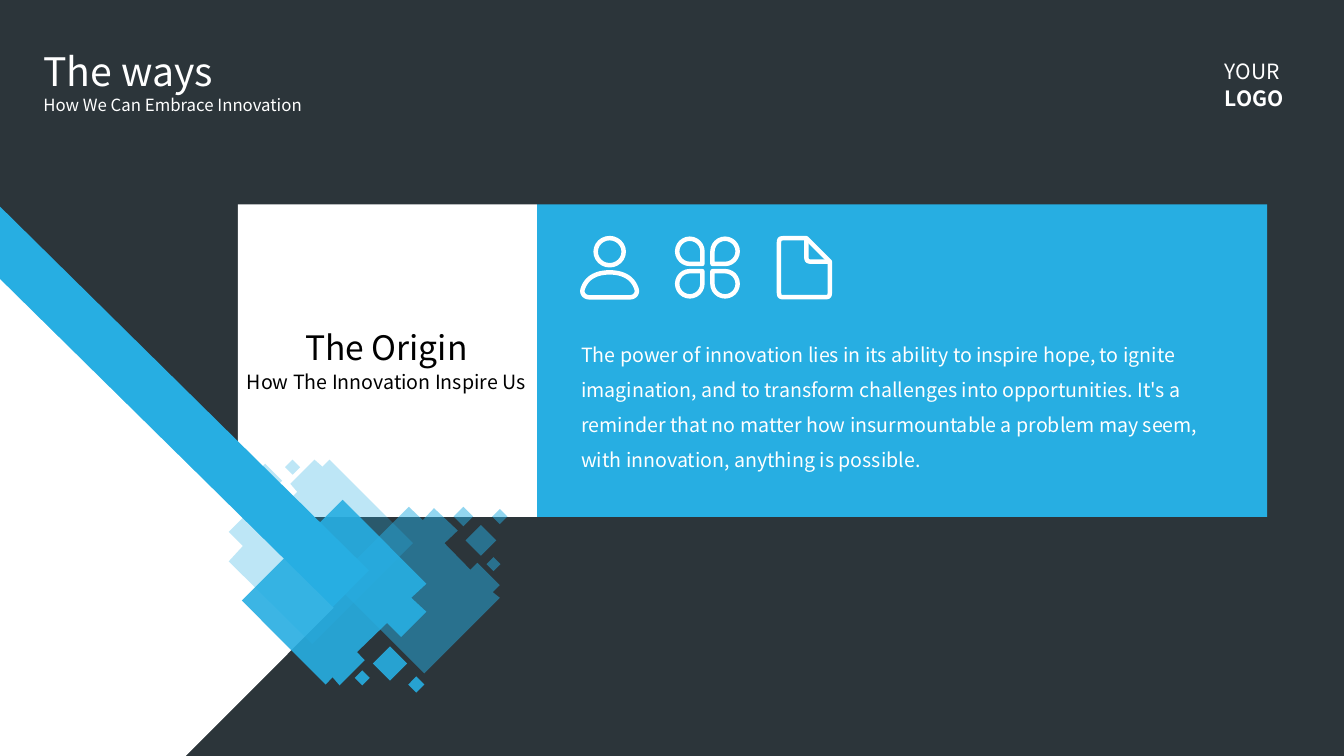
import pptx
import pptx.dml.color
import pptx.enum.shapes
import pptx.enum.text
import pptx.oxml.ns
import pptx.util
from lxml import etree

Pt = pptx.util.Pt
PRESET = pptx.enum.shapes.MSO_SHAPE
ALIGN = pptx.enum.text.PP_ALIGN
FONT = "Noto Sans CJK JP"
COLORS = {"dark": "2C353A", "blue": "27AEE2", "white": "FFFFFF", "black": "000000"}
ICON_STROKE = 3.2


def rgb(name):
    return pptx.dml.color.RGBColor.from_string(COLORS[name])


# Shared drawing helpers
def paint(shape, fill=None, line=None, opacity=100):
    shape.shadow.inherit = False
    if fill:
        shape.fill.solid()
        shape.fill.fore_color.rgb = rgb(fill)
    else:
        shape.fill.background()
    if line:
        shape.line.color.rgb = rgb(line)
        shape.line.width = Pt(ICON_STROKE)
    else:
        shape.line.fill.background()
    if opacity < 100:
        color = shape.fill._xPr.find(".//" + pptx.oxml.ns.qn("a:srgbClr"))
        etree.SubElement(color, pptx.oxml.ns.qn("a:alpha"), val=str(opacity * 1000))


def preset(slide, kind, left, top, width, height, **look):
    shape = slide.shapes.add_shape(kind, Pt(left), Pt(top), Pt(width), Pt(height))
    paint(shape, **look)
    return shape


def outline(slide, left, top, contours, open_contours=(), **look):
    """Draw contours whose points are measured from (left, top)."""
    pen = None
    paths = [(c, True) for c in contours] + [(c, False) for c in open_contours]
    for points, close in paths:
        start, *rest = [(x * 100, y * 100) for x, y in points]
        if pen is None:
            pen = slide.shapes.build_freeform(*start, scale=127)
        else:
            pen.move_to(*start)
        pen.add_line_segments(rest, close=close)
    paint(pen.convert_to_shape(Pt(left), Pt(top)), **look)


def curve(a, b, c, d, steps=14):
    """Points along a cubic curve from a to d."""
    return [tuple((1 - t) ** 3 * p + 3 * t * (1 - t) ** 2 * q
                  + 3 * t ** 2 * (1 - t) * r + t ** 3 * s
                  for p, q, r, s in zip(a, b, c, d))
            for t in (i / steps for i in range(steps + 1))]


def write(frame, lines, size, color, align=ALIGN.LEFT, spacing=None):
    """Fill a text frame with (text, bold) lines."""
    frame.word_wrap = True
    frame.auto_size = pptx.enum.text.MSO_AUTO_SIZE.NONE
    frame.vertical_anchor = pptx.enum.text.MSO_ANCHOR.TOP
    frame.margin_left = frame.margin_right = frame.margin_top = frame.margin_bottom = 0
    for i, (text, bold) in enumerate(lines):
        paragraph = frame.add_paragraph() if i else frame.paragraphs[0]
        paragraph.alignment = align
        paragraph.line_spacing = spacing
        run = paragraph.add_run()
        run.text = text
        run.font.name, run.font.size, run.font.bold = FONT, Pt(size), bold
        run.font.color.rgb = rgb(color)


def label(slide, left, top, width, height, lines, size, color, **layout):
    box = slide.shapes.add_textbox(Pt(left), Pt(top), Pt(width), Pt(height))
    write(box.text_frame, lines, size, color, **layout)


# Heading and logo placeholder
def header(slide, left, top, width):
    title = slide.shapes.title
    title.left, title.top, title.width, title.height = Pt(left), Pt(top), Pt(193), Pt(34)
    write(title.text_frame, [("The ways", False)], 28, "white")
    label(slide, left, top + 33.8, 228, 15,
          [("How We Can Embrace Innovation", False)], 12, "white")
    label(slide, left + width - 46, top + 6.2, 60, 40,
          [("YOUR", False), ("LOGO", True)], 15, "white", spacing=Pt(19.5))


# White card with the topic
def origin_card(slide, left, top, width, height):
    preset(slide, PRESET.RECTANGLE, left, top, width, height, fill="white")
    label(slide, left, top + 87.8, width - 1.5, 29,
          [("The Origin", False)], 24, "black", align=ALIGN.CENTER)
    label(slide, left, top + 118, width - 1.5, 18,
          [("How The Innovation Inspire Us", False)], 14, "black", align=ALIGN.CENTER)


# Line icons
def person_icon(slide, left, top):
    preset(slide, PRESET.OVAL, left + 10.9, top + 1.6, 20, 19.4, line="white")
    right_half = (curve((20.9, 26.1), (32, 26.1), (38, 31), (40.2, 38.2))
                  + curve((40.2, 38.2), (41, 41.5), (38.6, 43.9), (35.3, 43.9)))
    left_half = [(41.8 - x, y) for x, y in reversed(right_half)]
    outline(slide, left, top, [right_half + left_half[:-1]], line="white")


def clover_icon(slide, left, top):
    petals = [(1.5, 1.5, 90), (26.7, 1.5, 180), (1.5, 24.7, 0), (26.7, 24.7, 270)]
    for x, y, turn in petals:
        petal = preset(slide, PRESET.TEAR, left + x, top + y, 18, 18, line="white")
        petal.rotation = turn


def page_icon(slide, left, top):
    near, right, bottom, radius, fold = 1.6, 38, 43.8, 5.7, 21.2

    def corner(start, tip, end):
        return curve(start, tip, tip, end)

    sheet = ([(fold, near), (right, 18.4)]
             + corner((right, bottom - radius), (right, bottom), (right - radius, bottom))
             + corner((near + radius, bottom), (near, bottom), (near, bottom - radius))
             + corner((near, near + radius), (near, near), (near + radius, near)))
    flap = ([(fold, near)]
            + corner((fold, 12.7), (fold, 18.4), (fold + radius, 18.4))
            + [(right, 18.4)])
    outline(slide, left, top, [sheet], [flap], line="white")


# Blue panel with icons and message
def message_panel(slide, left, top, width, height):
    preset(slide, PRESET.RECTANGLE, left, top, width, height, fill="blue")
    person_icon(slide, left + 31, top + 22.5)
    clover_icon(slide, left + 98.6, top + 23)
    page_icon(slide, left + 171.2, top + 22.5)
    message = ("The power of innovation lies in its ability to inspire hope, to ignite "
               "imagination, and to transform challenges into opportunities. It's a "
               "reminder that no matter how insurmountable a problem may seem, "
               "with innovation, anything is possible.")
    label(slide, left + 31.6, top + 90.2, 443.5, 99, [(message, False)], 14, "white",
          spacing=1.5)


# Large arrow dissolving into square shards
def shard_arrow(slide, left, top):
    edge, base = -104.4, 777.6
    for color, start, tip in [("blue", 44.6, (263.5, 407.5)),
                              ("white", 96.5, (238.3, 434.2))]:
        outline(slide, left, top, [[(edge, start), tip, (edge, base)]], fill=color)

    # Opacity, main body, loose squares as (centre x, centre y, half diagonal)
    clusters = [
        (50, [(292, 362), (302, 371.5), (310, 363), (327, 379), (317.5, 388),
              (336, 407), (341, 402), (357, 418), (352, 423), (357, 427),
              (303, 481), (238, 416)],
         [(352.5, 403, 5), (343.5, 386, 11), (357, 369, 5.4), (331, 369, 7)]),
        (30, [(224.6, 328.3), (230.4, 333.4), (235.4, 328.3), (295, 388), (223, 460),
              (163.4, 401), (173.5, 390), (163.4, 380), (181.4, 362), (191.5, 372),
              (212.4, 351.4), (207.4, 345.6)],
         [(189.4, 343.4, 12.2), (209, 333.7, 5.4), (170.6, 328.3, 5.8)]),
        (90, [(244.8, 357), (304.6, 417), (293.8, 427), (304.6, 437), (286.6, 455),
              (276.5, 445), (255, 465.8), (260.6, 471.6), (242.6, 489.6),
              (237.6, 483.8), (232.6, 489), (172.8, 429)],
         [(297.4, 489, 5.8), (258.8, 484.2, 5.4), (278.6, 474, 12.2)]),
    ]
    for opacity, body, squares in clusters:
        diamonds = [[(x, y - r), (x + r, y), (x, y + r), (x - r, y)] for x, y, r in squares]
        outline(slide, left, top, [body] + diamonds, fill="blue", opacity=opacity)


def main():
    deck = pptx.Presentation()
    deck.slide_width, deck.slide_height = Pt(960), Pt(540)
    slide = deck.slides.add_slide(deck.slide_layouts[5])
    slide.background.fill.solid()
    slide.background.fill.fore_color.rgb = rgb("dark")
    header(slide, 31, 34, 890)
    origin_card(slide, 170, 146, 213.6, 223.2)
    message_panel(slide, 383.6, 146, 521.6, 223.2)
    shard_arrow(slide, 0, 0)
    deck.save("out.pptx")


if __name__ == "__main__":
    main()
